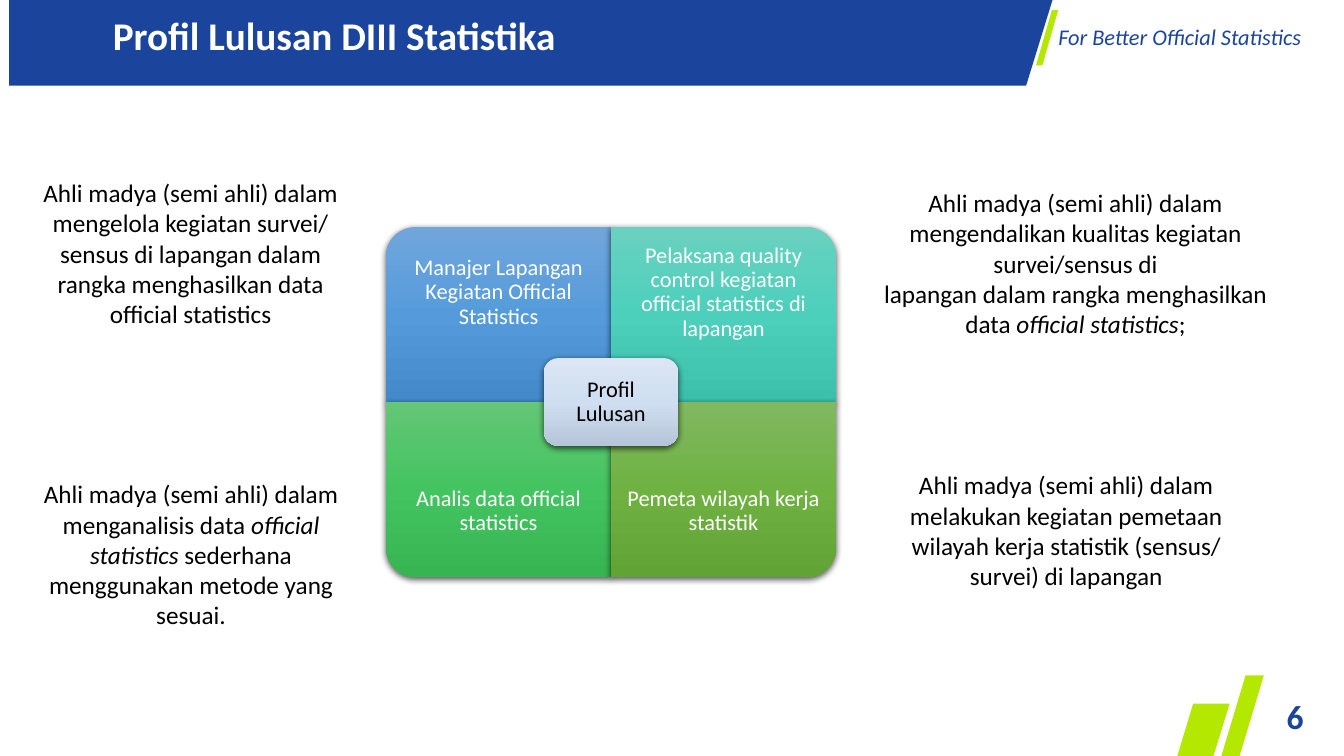
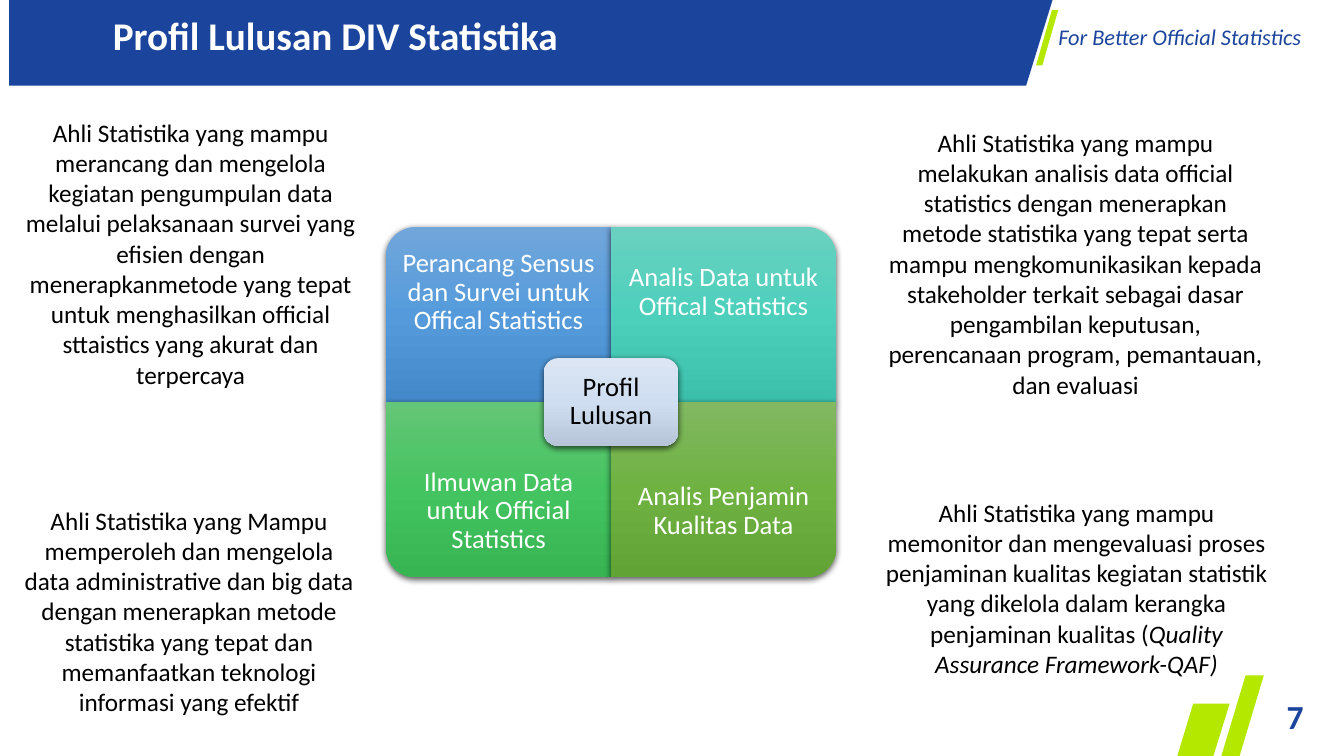
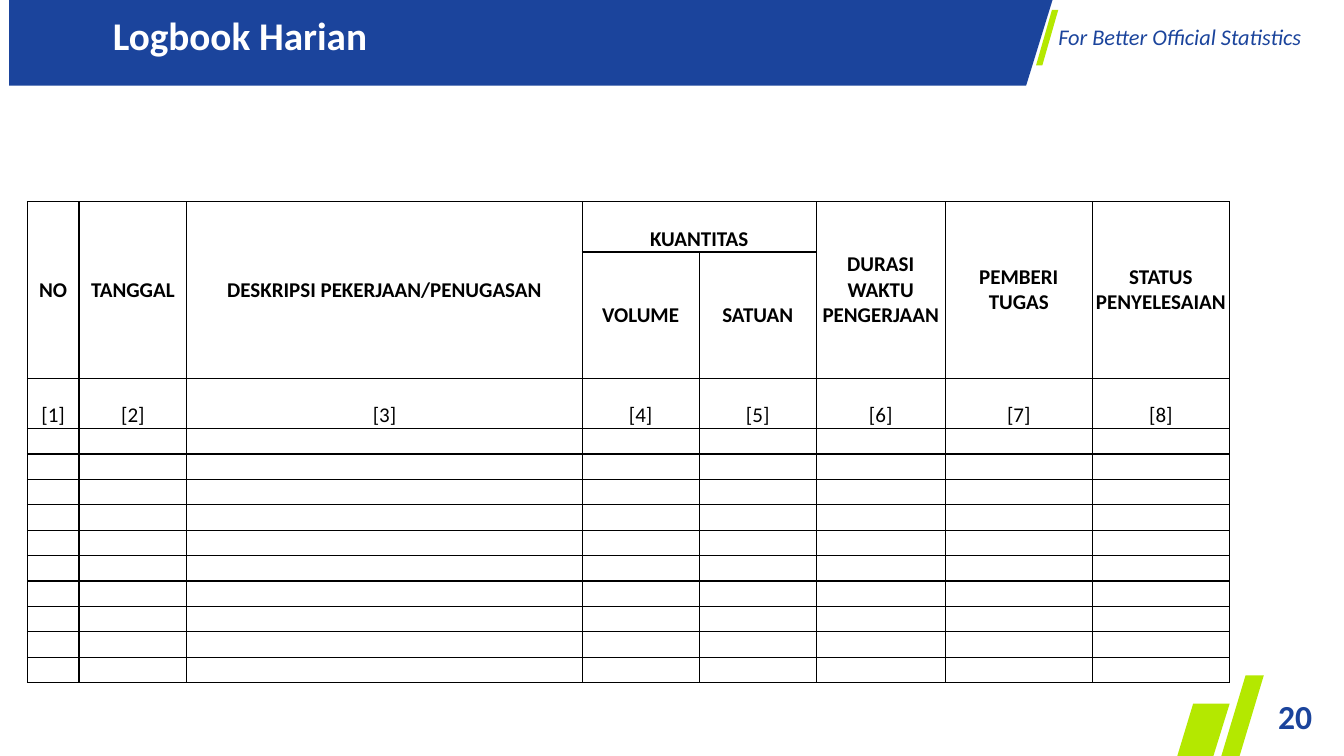
from pptx import Presentation
from pptx.dml.color import RGBColor
from pptx.enum.shapes import MSO_SHAPE
from pptx.enum.text import MSO_ANCHOR, MSO_AUTO_SIZE, PP_ALIGN
from pptx.oxml import parse_xml
from pptx.util import Cm, Pt

BLUE, LIME, WHITE, BLACK = "1B449C", "B4E800", "FFFFFF", "000000"
FONT = "Calibri"
DRAWING = 'xmlns:a="http://schemas.openxmlformats.org/drawingml/2006/main"'


def paint(fill, hex_code):
    fill.solid()
    fill.fore_color.rgb = RGBColor.from_string(hex_code)


def write(frame, text, size, hex_code, align=PP_ALIGN.CENTER, bold=False, spacing=1.0):
    frame.word_wrap = True
    for row, line in enumerate(text.split("\n")):
        paragraph = frame.add_paragraph() if row else frame.paragraphs[0]
        paragraph.alignment = align
        paragraph.line_spacing = spacing
        paragraph.font.name = FONT
        paragraph.font.size = Pt(size)
        paragraph.font.bold = bold
        paint(paragraph.font.fill, hex_code)
        for order, piece in enumerate(line.split("*")):
            if piece:
                run = paragraph.add_run()
                run.text = piece
                if order % 2:
                    run.font.italic = True


deck = Presentation()
deck.slide_width, deck.slide_height = Cm(33.87), Cm(19.05)
layout = deck.slide_layouts[5]
for footer in list(layout.placeholders)[1:]:
    layout.shapes.element.remove(footer.element)
heading = layout.placeholders[0]
heading.left, heading.top, heading.width, heading.height = Cm(2.59), Cm(0.15), Cm(22.25), Cm(1.45)

slides = []
for title, number in [
    ("Profil Lulusan DIII Statistika", "6"),
    ("Profil Lulusan DIV Statistika", "7"),
    ("Logbook Harian", "20"),
]:
    slide = deck.slides.add_slide(layout)
    slides.append(slide)
    title_frame = slide.shapes.title.text_frame
    title_frame.auto_size = MSO_AUTO_SIZE.NONE
    title_frame.vertical_anchor = MSO_ANCHOR.TOP
    write(title_frame, title, 28, WHITE, PP_ALIGN.LEFT, bold=True)

first = slides[0].shapes
outlines = [
    (BLUE, [(0.23, -0.08), (26.55, -0.08), (25.86, 2.16), (0.23, 2.16)]),
    (LIME, [(31.39, 17.02), (31.85, 17.02), (31.24, 19.05), (30.78, 19.05)]),
    (LIME, [(30.07, 17.73), (30.99, 17.73), (30.58, 19.05), (29.67, 19.05)]),
]
frame_parts = []
for hex_code, corners in outlines:
    start, *others = [(Cm(x), Cm(y)) for x, y in corners]
    builder = first.build_freeform(*start)
    builder.add_line_segments(others)
    outline = builder.convert_to_shape()
    paint(outline.fill, hex_code)
    frame_parts.append(outline)
slash = first.add_shape(MSO_SHAPE.PARALLELOGRAM, Cm(26.11), Cm(0.25), Cm(0.56), Cm(1.4))
slash.adjustments[0] = 0.717
paint(slash.fill, LIME)
frame_parts.append(slash)
for part in frame_parts:
    part.line.fill.background()
    part.shadow.inherit = False
tagline = first.add_textbox(Cm(26.42), Cm(0.46), Cm(7.14), Cm(0.94))
write(tagline.text_frame, "*For Better Official Statistics*", 16, BLUE, PP_ALIGN.LEFT)
for part in frame_parts + [tagline]:
    layout.shapes.element.append(part.element)

for slide, number in zip(slides, ["6", "7", "20"]):
    page = slide.shapes.add_textbox(Cm(31.88), Cm(17.53), Cm(1.52), Cm(1.02))
    page.text_frame.vertical_anchor = MSO_ANCHOR.MIDDLE
    write(page.text_frame, number, 24, BLUE, bold=True)

CENTER_X, CENTER_Y = 15.4, 10.13
TILE_WIDTH, TILE_HEIGHT, LABEL_HEIGHT = 5.67, 4.41, 3.31
HUB_WIDTH, HUB_HEIGHT = 3.4, 2.21
TILE_ROTATIONS = [270, 0, 180, 90]
GRADIENTS = [
    ("71A6DB", "559BDB", "448ACA"),
    ("6AD1C0", "4CD0BC", "3CC0AC"),
    ("64C677", "44C460", "36B552"),
    ("81B861", "6FB242", "62A336"),
    ("DBE5F3", "D0DEF1", "B6C5D9"),
]
profiles = [
    (16, 0.3, [
        ("Manajer Lapangan Kegiatan Official Statistics", (0.36, 3.66, 8.89),
         "Ahli madya (semi ahli) dalam\nmengelola kegiatan survei/ sensus di lapangan dalam "
         "rangka menghasilkan data\nofficial statistics"),
        ("Pelaksana quality control kegiatan official statistics di lapangan", (22, 3.91, 10.21),
         "Ahli madya (semi ahli) dalam mengendalikan kualitas kegiatan survei/sensus di\n"
         "lapangan dalam rangka menghasilkan data *official statistics*;"),
        ("Analis data official statistics", (0.41, 11.25, 8.81),
         "Ahli madya (semi ahli) dalam menganalisis data *official statistics* sederhana "
         "menggunakan metode yang sesuai."),
        ("Pemeta wilayah kerja statistik", (21.79, 10.64, 10.16),
         "Ahli madya (semi ahli) dalam melakukan kegiatan pemetaan wilayah kerja statistik "
         "(sensus/ survei) di lapangan"),
    ]),
    (19, 0.38, [
        ("Perancang Sensus dan Survei untuk Offical Statistics", (0.36, 3.66, 8.89),
         "Ahli Statistika yang mampu merancang dan mengelola kegiatan pengumpulan data melalui "
         "pelaksanaan survei yang efisien dengan menerapkanmetode yang tepat untuk menghasilkan "
         "official sttaistics yang akurat dan terpercaya"),
        ("Analis Data untuk Offical Statistics", (22, 3.91, 10.21),
         "Ahli Statistika yang mampu melakukan analisis data official statistics dengan menerapkan "
         "metode statistika yang tepat serta mampu mengkomunikasikan kepada stakeholder terkait "
         "sebagai dasar pengambilan keputusan, perencanaan program, pemantauan, dan evaluasi"),
        ("Ilmuwan Data untuk Official Statistics", (0.36, 12.67, 8.81),
         "Ahli Statistika yang Mampu memperoleh dan mengelola data administrative dan big data "
         "dengan menerapkan metode statistika yang tepat dan memanfaatkan teknologi informasi "
         "yang efektif"),
        ("Analis Penjamin Kualitas Data", (22.05, 12.09, 10.16),
         "Ahli Statistika yang mampu memonitor dan mengevaluasi proses penjaminan kualitas kegiatan "
         "statistik yang dikelola dalam kerangka penjaminan kualitas "
         "(*Quality Assurance Framework-QAF)*"),
    ]),
]

for slide, (size, inset, roles) in zip(slides, profiles):
    matrix = slide.shapes.add_group_shape().shapes
    tiles, labels = [], []
    for index, (role, (left, top, width), description) in enumerate(roles):
        row, column = divmod(index, 2)
        tile_left = CENTER_X + (column - 1) * TILE_WIDTH
        tile_top = CENTER_Y + (row - 1) * TILE_HEIGHT
        rotation = TILE_ROTATIONS[index]
        turned = rotation % 180 == 90
        tile_width, tile_height = (TILE_HEIGHT, TILE_WIDTH) if turned else (TILE_WIDTH, TILE_HEIGHT)
        tile = matrix.add_shape(
            MSO_SHAPE.ROUND_1_RECTANGLE,
            Cm(tile_left + (TILE_WIDTH - tile_width) / 2),
            Cm(tile_top + (TILE_HEIGHT - tile_height) / 2),
            Cm(tile_width), Cm(tile_height))
        tile.rotation = rotation
        tiles.append(tile)
        label_top = tile_top + row * (TILE_HEIGHT - LABEL_HEIGHT)
        label = matrix.add_textbox(Cm(tile_left), Cm(label_top), Cm(TILE_WIDTH), Cm(LABEL_HEIGHT))
        labels.append((label, role, WHITE, inset))

        note = slide.shapes.add_textbox(Cm(left), Cm(top), Cm(width), Cm(5.44))
        note.text_frame.vertical_anchor = MSO_ANCHOR.MIDDLE
        write(note.text_frame, description, 18, BLACK)

    hub = matrix.add_shape(
        MSO_SHAPE.ROUNDED_RECTANGLE, Cm(CENTER_X - HUB_WIDTH / 2), Cm(CENTER_Y - HUB_HEIGHT / 2),
        Cm(HUB_WIDTH), Cm(HUB_HEIGHT))
    labels.append((hub, "Profil Lulusan", BLACK, 0.29))

    for tile, stops in zip(tiles + [hub], GRADIENTS):
        stop_list = "".join(
            f'<a:gs pos="{order * 50000}"><a:srgbClr val="{stop}"/></a:gs>'
            for order, stop in enumerate(stops))
        properties = tile.element.spPr
        properties.append(parse_xml(
            f'<a:gradFill {DRAWING} rotWithShape="0"><a:gsLst>{stop_list}</a:gsLst>'
            '<a:lin ang="5400000" scaled="0"/></a:gradFill>'))
        tile.line.fill.background()
        properties.append(parse_xml(
            f'<a:effectLst {DRAWING}><a:outerShdw blurRad="{Pt(4.5)}" dist="{Pt(1.5)}" dir="5400000" '
            f'algn="ctr" rotWithShape="0"><a:srgbClr val="{BLACK}"><a:alpha val="63000"/></a:srgbClr>'
            '</a:outerShdw></a:effectLst>'))

    for label, text, hex_code, margin in labels:
        frame = label.text_frame
        frame.vertical_anchor = MSO_ANCHOR.MIDDLE
        frame.margin_left = frame.margin_right = frame.margin_top = frame.margin_bottom = Cm(margin)
        write(frame, text, size, hex_code, spacing=0.9)

column_widths = [1.3, 2.72, 9.96, 2.95, 2.95, 3.25, 3.71, 3.45]
row_heights = [1.27, 3.18, 1.27] + [0.64] * 10
entries = [
    ["NO", "TANGGAL", "DESKRIPSI PEKERJAAN/PENUGASAN", "KUANTITAS", "",
     "DURASI WAKTU PENGERJAAN", "PEMBERI TUGAS", "STATUS PENYELESAIAN"],
    ["", "", "", "VOLUME", "SATUAN", "", "", ""],
    [f"[{column}]" for column in range(1, 9)],
] + [[""] * 8 for _ in range(10)]
logbook = slides[2].shapes.add_table(
    len(row_heights), len(column_widths), Cm(0.69), Cm(5.08),
    Cm(sum(column_widths)), Cm(sum(row_heights))).table
for column, width in zip(logbook.columns, column_widths):
    column.width = Cm(width)
for row, height in zip(logbook.rows, row_heights):
    row.height = Cm(height)
for row, texts in enumerate(entries):
    for column, text in enumerate(texts):
        cell = logbook.cell(row, column)
        cell.margin_left = cell.margin_right = Cm(0.05)
        cell.margin_top = cell.margin_bottom = 0
        low = row == 2 or text == "KUANTITAS"
        cell.vertical_anchor = MSO_ANCHOR.BOTTOM if low else MSO_ANCHOR.MIDDLE
        write(cell.text_frame, text, 15 if text else 10, BLACK, bold=row < 2)
        borders = cell._tc.get_or_add_tcPr()
        for side in "LRTB":
            borders.append(parse_xml(
                f'<a:ln{side} {DRAWING} w="{Pt(1)}"><a:solidFill><a:srgbClr val="{BLACK}"/>'
                f'</a:solidFill></a:ln{side}>'))
        cell.fill.background()
for column in (0, 1, 2, 5, 6, 7):
    logbook.cell(0, column).merge(logbook.cell(1, column))
logbook.cell(0, 3).merge(logbook.cell(0, 4))

deck.save("out.pptx")
